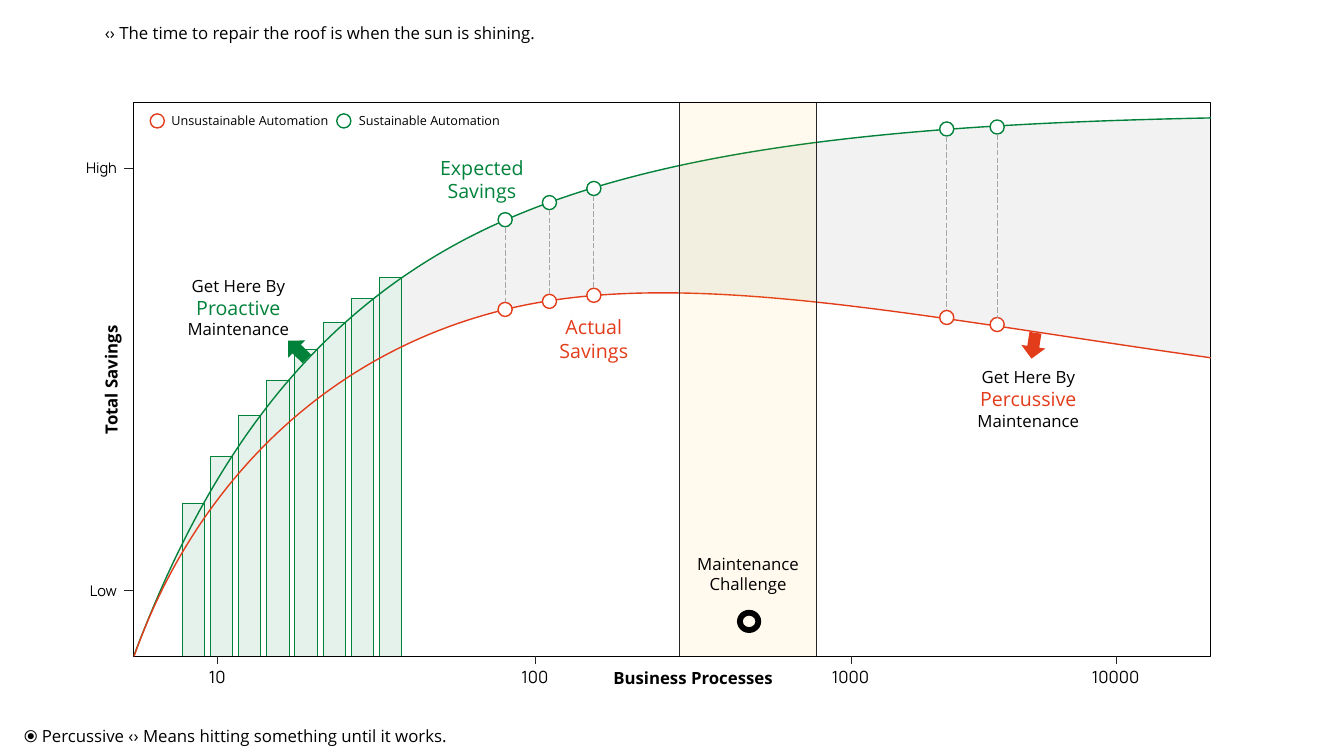
from lxml import etree
from pptx import Presentation
from pptx.dml.color import RGBColor
from pptx.enum.dml import MSO_LINE
from pptx.enum.shapes import MSO_CONNECTOR, MSO_SHAPE
from pptx.enum.text import MSO_ANCHOR, PP_ALIGN
from pptx.oxml.ns import qn
from pptx.util import Inches, Pt

BLACK = RGBColor(0x00, 0x00, 0x00)
WHITE = RGBColor(0xFF, 0xFF, 0xFF)
GREEN = RGBColor(0x00, 0x82, 0x3B)
RED = RGBColor(0xE3, 0x3C, 0x1B)
PALE_GREEN = RGBColor(0xE5, 0xF2, 0xEB)
GAP_GRAY = RGBColor(0xF2, 0xF2, 0xF2)
DASH_GRAY = RGBColor(0xA6, 0xA6, 0xA6)
DARK = RGBColor(0x26, 0x26, 0x26)
AMBER = RGBColor(0xFF, 0xC0, 0x00)

RECT, OVAL = MSO_SHAPE.RECTANGLE, MSO_SHAPE.OVAL
DONUT, ARROW = MSO_SHAPE.DONUT, MSO_SHAPE.DOWN_ARROW
STRAIGHT, LONG_DASH = MSO_CONNECTOR.STRAIGHT, MSO_LINE.LONG_DASH
LEFT, CENTER, RIGHT = PP_ALIGN.LEFT, PP_ALIGN.CENTER, PP_ALIGN.RIGHT
TOP, MIDDLE = MSO_ANCHOR.TOP, MSO_ANCHOR.MIDDLE
PADDING = (0.1, 0.05, 0.1, 0.05)

prs = Presentation()
prs.slide_width, prs.slide_height = Inches(13.33), Inches(7.5)
shapes = prs.slides.add_slide(prs.slide_layouts[6]).shapes


def paint(s, fill=None, line=None, width=0.5):
    s.shadow.inherit = False
    if fill is None:
        s.fill.background()
    else:
        s.fill.solid()
        s.fill.fore_color.rgb = fill
    if line is None:
        s.line.fill.background()
    else:
        s.line.color.rgb = line
        s.line.width = Pt(width)


def text(lines, x, y, w, h, size=12, color=BLACK, font="Open Sans", bold=False, align=CENTER,
         anchor=MIDDLE, insets=(0, 0, 0, 0), rotation=0, accent=None, wrap=True, fill=None):
    box = [Inches(v) for v in (x, y, w, h)]
    if fill is None:
        s = shapes.add_textbox(*box)
    else:
        s = shapes.add_shape(RECT, *box)
        paint(s, fill)
    s.rotation = rotation
    tf = s.text_frame
    tf.word_wrap = wrap
    tf.vertical_anchor = anchor
    tf.margin_left, tf.margin_top, tf.margin_right, tf.margin_bottom = map(Inches, insets)
    for i, line in enumerate(lines):
        p = tf.add_paragraph() if i else tf.paragraphs[0]
        p.alignment = align
        r = p.add_run()
        r.text = line
        highlighted = accent is not None and i == 1
        r.font.name, r.font.bold = font, bold
        r.font.size = Pt(14 if highlighted else size)
        r.font.color.rgb = accent if highlighted else color
    return tf


plot_left, plot_top, plot_width, plot_bottom = 1.32, 1.02, 10.68, 6.51
plot_height = plot_bottom - plot_top

gap_main = [[(12.01, 1.17)], [(12.01, 1.19)], [(8.33, 3.02)], [(8, 2.98)],
            [(6.81, 2.86), (5.77, 2.86), (4.87, 3.11)],
            [(3.31, 3.54), (2.19, 4.63), (1.57, 5.94)], [(1.44, 6.21)], [(1.46, 6.18)],
            [(2.11, 4.59), (3.05, 3.15), (4.73, 2.32)],
            [(6.4, 1.48), (8.8, 1.25), (11.5, 1.18)], [(12.01, 1.17)]]
gap_end = [[(12.01, 1.19)], [(12.01, 3.55)], [(11.48, 3.47)],
           [(10.39, 3.31), (9.38, 3.14), (8.46, 3.03)], [(8.33, 3.02)], [(12.01, 1.19)]]
expected = [[(1.33, 6.5)], [(1.98, 4.78), (2.94, 3.21), (4.72, 2.32)],
            [(6.5, 1.43), (9.1, 1.23), (12.01, 1.17)]]
actual = [[(1.33, 6.51)], [(1.88, 4.95), (3.08, 3.6), (4.86, 3.11)],
          [(6.64, 2.61), (9.02, 3.13), (12.01, 3.55)]]
outlines = [(gap_main, 1.44, 1.17, 6.21, GAP_GRAY, None),
            (gap_end, 8.33, 1.19, 3.55, GAP_GRAY, None),
            (expected, 1.33, 1.17, 6.5, None, GREEN),
            (actual, 1.33, 2.9, 6.51, None, RED)]

for segments, left, top, bottom, fill, line in outlines:
    if segments is expected:
        text(["Business Processes"], 5.31, 6.57, 3.13, 0.3, bold=True, insets=PADDING, fill=WHITE)
        for i, bar_top in enumerate((4.99, 4.53, 4.12, 3.77, 3.47, 3.2, 2.96, 2.75)):
            s = shapes.add_shape(RECT, Inches(1.81 + 0.2786 * i), Inches(bar_top),
                                 Inches(0.22), Inches(plot_bottom - bar_top))
            paint(s, PALE_GREEN, GREEN)
        s = shapes.add_shape(RECT, Inches(plot_left), Inches(plot_top),
                             Inches(plot_width), Inches(plot_height))
        paint(s, None, BLACK)
    builder = shapes.build_freeform(Inches(left), Inches(top))
    builder.add_line_segments([(Inches(12.01), Inches(bottom))], close=False)
    s = builder.convert_to_shape()
    paint(s, fill, line, 1)
    outline = next(s._element.iter(qn("a:path")))
    for child in list(outline):
        outline.remove(child)
    for i, points in enumerate(segments):
        tag = "a:moveTo" if i == 0 else "a:lnTo" if len(points) == 1 else "a:cubicBezTo"
        segment = etree.SubElement(outline, qn(tag))
        for x, y in points:
            etree.SubElement(segment, qn("a:pt"), x=str(Inches(x) - Inches(left)),
                             y=str(Inches(y) - Inches(top)))
    if fill is not None:
        etree.SubElement(outline, qn("a:close"))

dot = 0.14
markers = [(1.49, 1.13, RED), (3.34, 1.13, GREEN)]
lines = []
for x, green_top, red_top in ((4.94, 2.11, 3), (5.38, 1.94, 2.92), (5.82, 1.8, 2.86),
                              (9.32, 1.21, 3.08), (9.82, 1.19, 3.15)):
    markers += [(x, green_top, GREEN), (x, red_top, RED)]
    lines.append((x + dot / 2, green_top + dot, x + dot / 2, red_top, DASH_GRAY))
for x, y, color in markers:
    s = shapes.add_shape(OVAL, Inches(x), Inches(y), Inches(dot), Inches(dot))
    paint(s, WHITE, color, 1)

text(["Unsustainable Automation"], 1.7, 1.03, 1.58, 0.34, size=9, align=LEFT)
text(["Sustainable Automation"], 3.56, 1.03, 1.42, 0.34, size=9, align=LEFT)
text(["Expected", "Savings"], 3.83, 1.61, 1.9, 0.34, size=14, color=GREEN)
text(["Actual", "Savings"], 5.07, 3.19, 1.64, 0.34, size=14, color=RED)
text(["Get Here By", "Proactive", "Maintenance"], 1.61, 2.71, 1.51, 0.88,
     insets=(0, 0, 0, 0.2), accent=GREEN)
text(["Get Here By", "Percussive", "Maintenance"], 9.33, 3.4, 1.74, 1.11, accent=RED)

for x, y, rotation, color in ((2.83, 3.34, 134.2, GREEN), (10.13, 3.3, 8.7, RED)):
    s = shapes.add_shape(ARROW, Inches(x), Inches(y), Inches(0.24), Inches(0.26))
    s.rotation = rotation
    paint(s, color)

band_left, band_width = 6.74, 1.36
s = shapes.add_shape(RECT, Inches(band_left), Inches(plot_top),
                     Inches(band_width), Inches(plot_height))
paint(s, AMBER)
color_element = s._element.spPr.find(qn("a:solidFill"))[0]
etree.SubElement(color_element, qn("a:alpha"), val="7000")
text(["Maintenance", "Challenge"], band_left, 5.07, band_width, 1.02,
     insets=(0.1, 0.28, 0.1, 0.05))
s = shapes.add_shape(DONUT, Inches(7.31), Inches(6.05), Inches(0.24), Inches(0.23))
paint(s, BLACK)

text(["Total Savings"], -0.09, 3.62, 2.38, 0.3, bold=True, anchor=TOP,
     insets=PADDING, rotation=270)
for label, y in (("High", 1.67), ("Low", 5.86)):
    text([label], 0.6, y - 0.14, 0.56, 0.27, size=10.5, font="Manrope", align=RIGHT, wrap=False)
    lines.append((1.23, y, plot_left, y, DARK))
for label, x in (("10", 2.16), ("100", 5.31), ("1000", 8.44), ("10000", 11.07)):
    text([label], x - 0.49, 6.57, 0.97, 0.34, font="Manrope", anchor=TOP,
         insets=PADDING, wrap=False)
    lines.append((x, 6.59, x, plot_bottom, DARK))
for x in (band_left, band_left + band_width):
    lines.append((x, plot_bottom, x, plot_top, DARK))

for x1, y1, x2, y2, color in lines:
    s = shapes.add_connector(STRAIGHT, Inches(x1), Inches(y1), Inches(x2), Inches(y2))
    s.line.color.rgb = color
    s.line.width = Pt(0.5)
    if color == DASH_GRAY:
        s.line.dash_style = LONG_DASH
    etree.SubElement(s._element.spPr, qn("a:effectLst"))

text(["‹› The time to repair the roof is when the sun is shining."],
     1, 0.13, 12.33, 0.4, align=LEFT, insets=(0.04, 0.05, 0.31, 0.05))
tf = text(["⦿ "], 0, 7.1, 7.97, 0.4, font="Roboto", align=LEFT,
          insets=(0.24, 0.05, 0.2, 0.05))
r = tf.paragraphs[0].add_run()
r.text = "Percussive ‹› Means hitting something until it works."
r.font.name, r.font.size = "Open Sans", Pt(12)
r.font.color.rgb = BLACK

prs.save("out.pptx")
